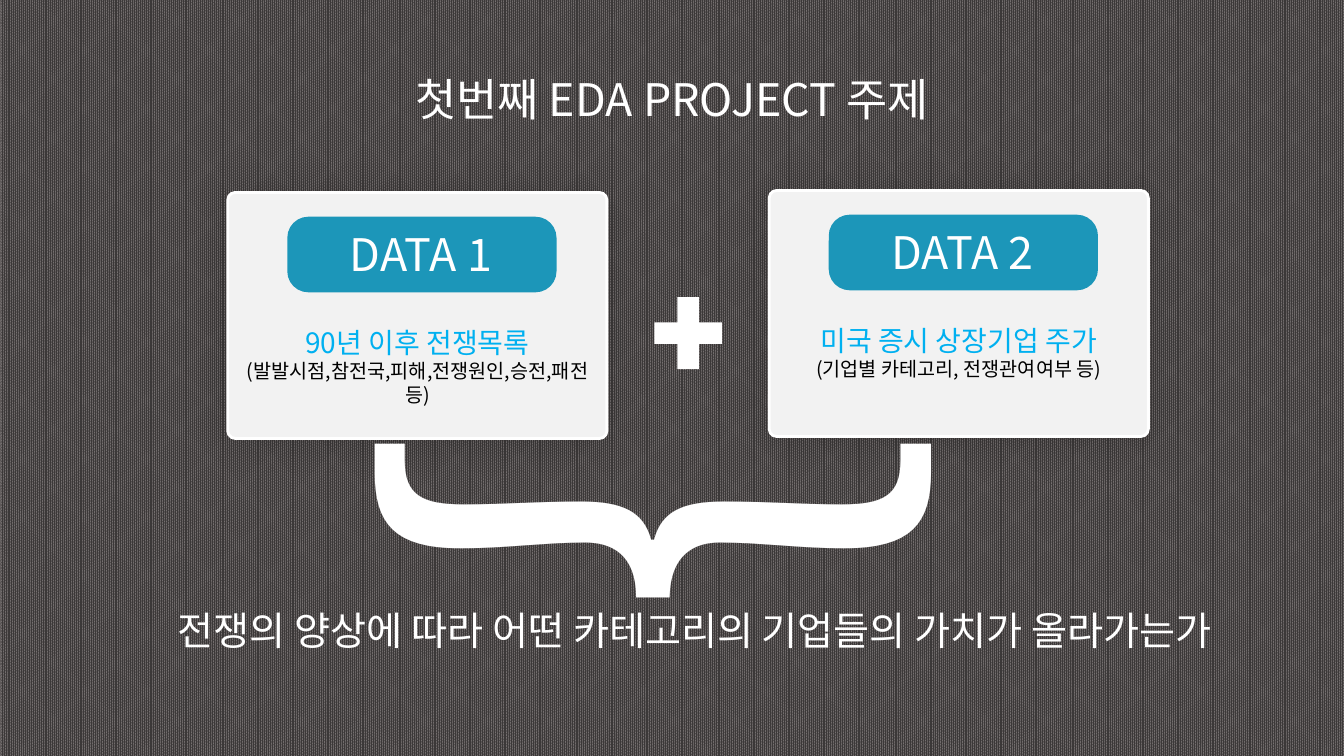
import pptx
import pptx.util
from pptx.dml.color import RGBColor
from pptx.enum.dml import MSO_PATTERN
from pptx.enum.shapes import MSO_SHAPE
from pptx.enum.text import MSO_ANCHOR, MSO_AUTO_SIZE, PP_ALIGN
from pptx.oxml import parse_xml
from pptx.oxml.ns import nsdecls, qn
from pptx.util import Inches

FONT = "Noto Sans CJK KR"
COLORS = {
    "white": "FFFFFF", "black": "000000", "card": "F2F2F2",
    "label": "1C96B9", "heading": "00B0F0",
    "stripe": "3B3838", "ground": "767171",
}
# Left, top, label, heading and detail of each data card
DATA_CARDS = [
    (2.26, 1.91, "DATA 1", "90년 이후 전쟁목록",
     "(발발시점,참전국,피해,전쟁원인,승전,패전 등)"),
    (7.63, 1.89, "DATA 2", "미국 증시 상장기업 주가",
     "(기업별 카테고리, 전쟁관여여부 등)"),
]


def rgb(name):
    return RGBColor.from_string(COLORS[name])


def write_lines(holder, lines):
    """Fill a text holder with centred (text, size, colour) lines."""
    frame = holder.text_frame
    frame_format = {"word_wrap": True, "auto_size": MSO_AUTO_SIZE.NONE,
                    "vertical_anchor": MSO_ANCHOR.TOP}
    for key, value in frame_format.items():
        setattr(frame, key, value)
    for index, (text, size, color) in enumerate(lines):
        paragraph = frame.add_paragraph() if index else frame.paragraphs[0]
        paragraph.alignment = PP_ALIGN.CENTER
        run = paragraph.add_run()
        run.text = text
        for key, value in {"name": FONT, "size": pptx.util.Pt(size)}.items():
            setattr(run.font, key, value)
        run.font.color.rgb = rgb(color)
        east_asian = run.font._element.makeelement(qn("a:ea"), {"typeface": FONT})
        run.font._element.find(qn("a:latin")).addnext(east_asian)


def add_text(slide, left, top, width, height, lines):
    box = slide.shapes.add_textbox(*map(Inches, (left, top, width, height)))
    write_lines(box, lines)
    return box


def add_block(slide, kind, left, top, width, height, color, corner=None):
    block = slide.shapes.add_shape(kind, *map(Inches, (left, top, width, height)))
    block.shadow.inherit = False
    block.fill.solid()
    block.fill.fore_color.rgb = rgb(color)
    block.line.fill.background()
    if corner is not None:
        block.adjustments[0] = corner
    return block


def add_soft_shadow(block):
    effects = block._element.spPr.find(qn("a:effectLst"))
    effects.append(parse_xml(
        f'<a:outerShdw {nsdecls("a")} blurRad="{pptx.util.Pt(24)}" '
        f'dist="{pptx.util.Pt(1.6)}" dir="5400000" algn="t" rotWithShape="0">'
        f'<a:srgbClr val="{COLORS["black"]}"><a:alpha val="17000"/></a:srgbClr>'
        '</a:outerShdw>'))


def add_data_card(slide, left, top, label, heading, detail):
    rounded = MSO_SHAPE.ROUNDED_RECTANGLE
    card = add_block(slide, rounded, left, top, 3.76, 2.44, "card", 0.03)
    card.line.color.rgb = rgb("white")
    card.line.width = pptx.util.Pt(2)
    add_soft_shadow(card)
    add_block(slide, rounded, left + 0.59, top + 0.24, 2.67, 0.75, "label", 0.278)
    add_text(slide, left + 0.58, top + 0.29, 2.67, 0.64, [(label, 32, "white")])
    add_text(slide, left, top + 1.27, 3.76, 0.67,
             [(heading, 20, "heading"), (detail, 14, "black")])


def main():
    deck = pptx.Presentation()
    deck.slide_width, deck.slide_height = Inches(13.33), Inches(7.5)
    slide = deck.slides.add_slide(deck.slide_layouts[5])

    # Striped background
    ground = slide.background.fill
    ground.patterned()
    ground.pattern = MSO_PATTERN.PERCENT_90
    ground.fore_color.rgb = rgb("stripe")
    ground.back_color.rgb = rgb("ground")

    # Title
    title = slide.shapes.title
    place = {"left": 0, "top": 0.66, "width": 13.33, "height": 0.64}
    for key, value in place.items():
        setattr(title, key, Inches(value))
    write_lines(title, [("첫번째 EDA PROJECT 주제", 32, "white")])

    # Two data sets, added together
    for card in DATA_CARDS:
        add_data_card(slide, *card)
    add_block(slide, MSO_SHAPE.MATH_PLUS, 6.37, 2.82, 0.91, 0.97, "white")

    # Brace leading to the question
    brace = add_text(slide, 6.3, 1.24, 1.31, 7.05, [("}", 413, "white")])
    brace.rotation = 90
    add_text(slide, 1.6, 5.97, 10.58, 0.57,
             [("전쟁의 양상에 따라 어떤 카테고리의 기업들의 가치가 올라가는가", 28, "white")])

    deck.save("out.pptx")


if __name__ == "__main__":
    main()
